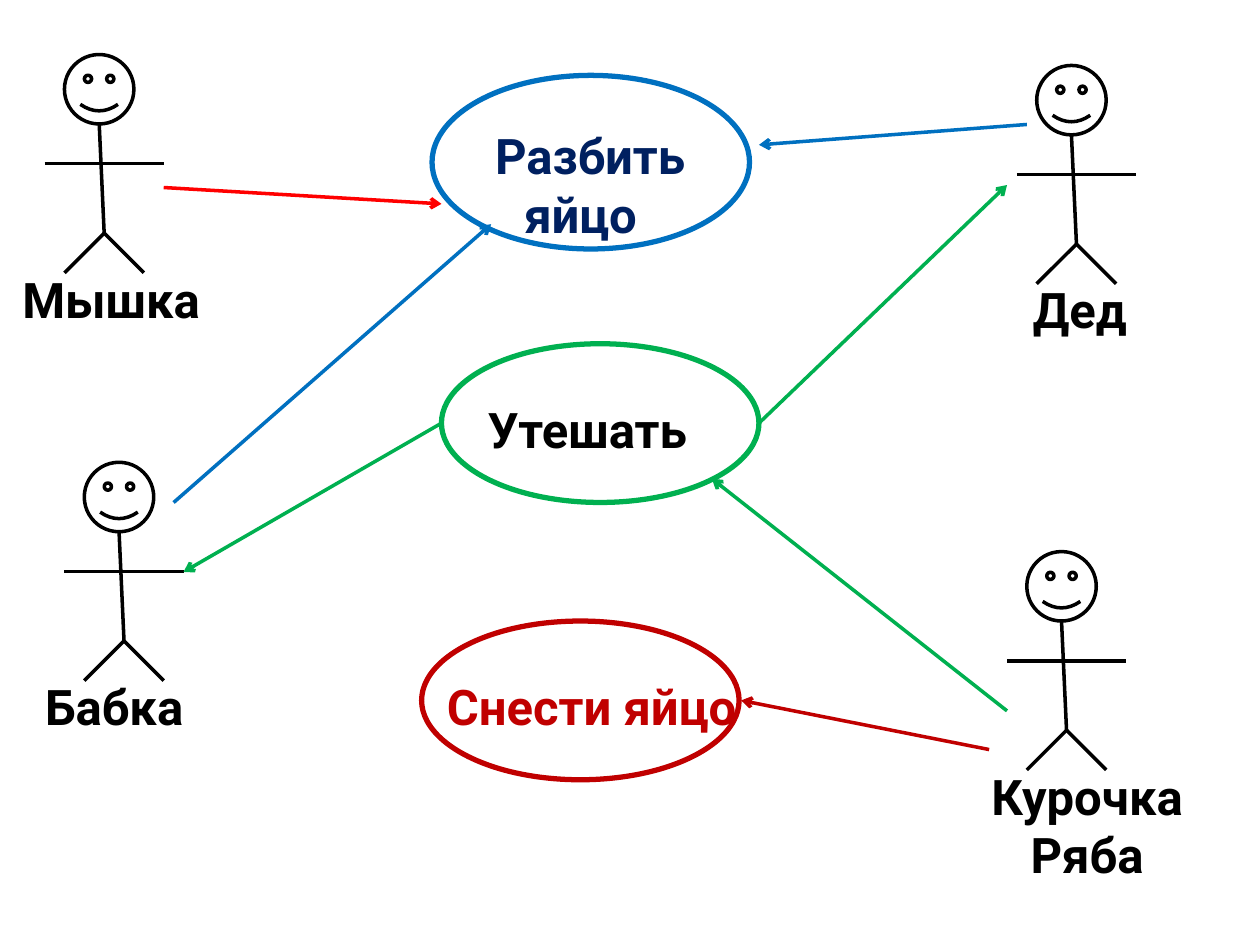
import pptx
import pptx.dml.color
import pptx.enum.shapes
import pptx.enum.text
import pptx.util
from dataclasses import dataclass
from lxml import etree

Cm = pptx.util.Cm
Pt = pptx.util.Pt
SHAPE = pptx.enum.shapes.MSO_SHAPE
ALIGN = pptx.enum.text.PP_ALIGN
NS = "http://schemas.openxmlformats.org/drawingml/2006/main"


@dataclass
class Theme:
    black: str = "000000"
    navy: str = "002060"
    blue: str = "0070C0"
    green: str = "00B050"
    crimson: str = "C00000"
    red: str = "FF0000"
    font: str = "Roboto"
    size: int = 28
    thin: int = 2
    thick: int = 3


T = Theme()

ACTORS = [
    {"head": (1.3, 1.1), "label": (0.2, 4.45), "lines": ["Мышка"]},
    {"head": (20.7, 11.12), "label": (19.5, 4.83), "lines": ["Курочка", "Ряба"]},
    {"head": (1.7, 9.32), "label": (0.66, 3.56), "lines": ["Бабка"]},
    {"head": (20.9, 1.32), "label": (20.57, 2.49), "lines": ["Дед"]},
]

USE_CASES = [
    {"oval": (8.71, 1.52, 6.4, 3.5), "line": T.blue, "label": (8.9, 2.41, 6.2, 3.81),
     "lines": ["Разбить", "яйцо"], "color": T.navy, "indents": (0.83, 1.42)},
    {"oval": (8.9, 6.93, 6.4, 3.2), "line": T.green, "label": (9.58, 7.92, 4.98, 1.45),
     "lines": ["Утешать"], "color": T.black, "indents": None},
    {"oval": (8.5, 12.52, 6.4, 3.2), "line": T.crimson, "label": (8.76, 13.51, 6.96, 1.45),
     "lines": ["Снести яйцо"], "color": T.crimson, "indents": None},
]

ARROWS = [
    ((8.9, 8.53), (3.7, 11.53), T.green),
    ((15.3, 8.53), (20.3, 3.73), T.green),
    ((20.3, 14.33), (14.35, 9.65), T.green),
    ((19.94, 15.11), (14.94, 14.12), T.crimson),
    ((3.3, 3.78), (8.9, 4.11), T.red),
    ((20.7, 2.51), (15.3, 2.92), T.blue),
    ((3.5, 10.13), (9.9, 4.52), T.blue),
]

HEAD = 1.4
LIMBS = [
    ((0.7, 1.4), (0.8, 3.6)),
    ((-0.4, 2.2), (2, 2.2)),
    ((0.8, 3.6), (0, 4.4)),
    ((0.8, 3.6), (1.6, 4.4)),
]
LABEL_DROP = 4.2
LINE_HEIGHT = 1.19
LABEL_PADDING = 0.26


def rgb(color):
    return pptx.dml.color.RGBColor.from_string(color)


def add_outline(shapes, kind, box, color, width):
    sp = shapes.add_shape(kind, *map(Cm, box))
    sp.shadow.inherit = False
    sp.fill.background()
    sp.line.color.rgb = rgb(color)
    sp.line.width = Pt(width)
    return sp


def add_line(shapes, start, end, color, arrow=False):
    straight = pptx.enum.shapes.MSO_CONNECTOR.STRAIGHT
    sp = shapes.add_connector(straight, *map(Cm, (*start, *end)))
    sp.line.color.rgb = rgb(color)
    sp.line.width = Pt(T.thin)
    if arrow:
        etree.SubElement(sp.line._get_or_add_ln(), f"{{{NS}}}tailEnd", type="arrow")
    etree.SubElement(sp._element.spPr, f"{{{NS}}}effectLst")


def add_label(shapes, box, lines, color, align=ALIGN.LEFT, indents=None):
    tf = shapes.add_textbox(*map(Cm, box)).text_frame
    tf.word_wrap = indents is not None
    tf.auto_size = pptx.enum.text.MSO_AUTO_SIZE.SHAPE_TO_FIT_TEXT
    tf.text = "\n".join(lines)
    for p, indent in zip(tf.paragraphs, indents or [0] * len(lines)):
        p.alignment = align
        if indent:
            p._p.get_or_add_pPr().set("marL", str(Cm(indent)))
        p.font.name = T.font
        p.font.size = Pt(T.size)
        p.font.bold = True
        p.font.color.rgb = rgb(color)


def add_actor(s, actor):
    shapes = s.shapes.add_group_shape().shapes
    x, y = actor["head"]
    face = add_outline(shapes, SHAPE.SMILEY_FACE, (x, y, HEAD, HEAD), T.black, T.thin)
    face.adjustments[0] = 0.09
    for (x1, y1), (x2, y2) in LIMBS:
        add_line(shapes, (x + x1, y + y1), (x + x2, y + y2), T.black)
    left, width = actor["label"]
    lines = actor["lines"]
    height = LINE_HEIGHT * len(lines) + LABEL_PADDING
    align = ALIGN.CENTER if len(lines) > 1 else ALIGN.LEFT
    add_label(shapes, (left, y + LABEL_DROP, width, height), lines, T.black, align)


def add_use_case(s, case):
    shapes = s.shapes.add_group_shape().shapes
    add_outline(shapes, SHAPE.OVAL, case["oval"], case["line"], T.thick)
    add_label(shapes, case["label"], case["lines"], case["color"], indents=case["indents"])


def main():
    prs = pptx.Presentation()
    prs.slide_width, prs.slide_height = Cm(25.4), Cm(19.05)
    s = prs.slides.add_slide(prs.slide_layouts[6])
    for actor in ACTORS:
        add_actor(s, actor)
    for case in USE_CASES:
        add_use_case(s, case)
    for start, end, color in ARROWS:
        add_line(s.shapes, start, end, color, arrow=True)
    prs.save("out.pptx")


if __name__ == "__main__":
    main()
